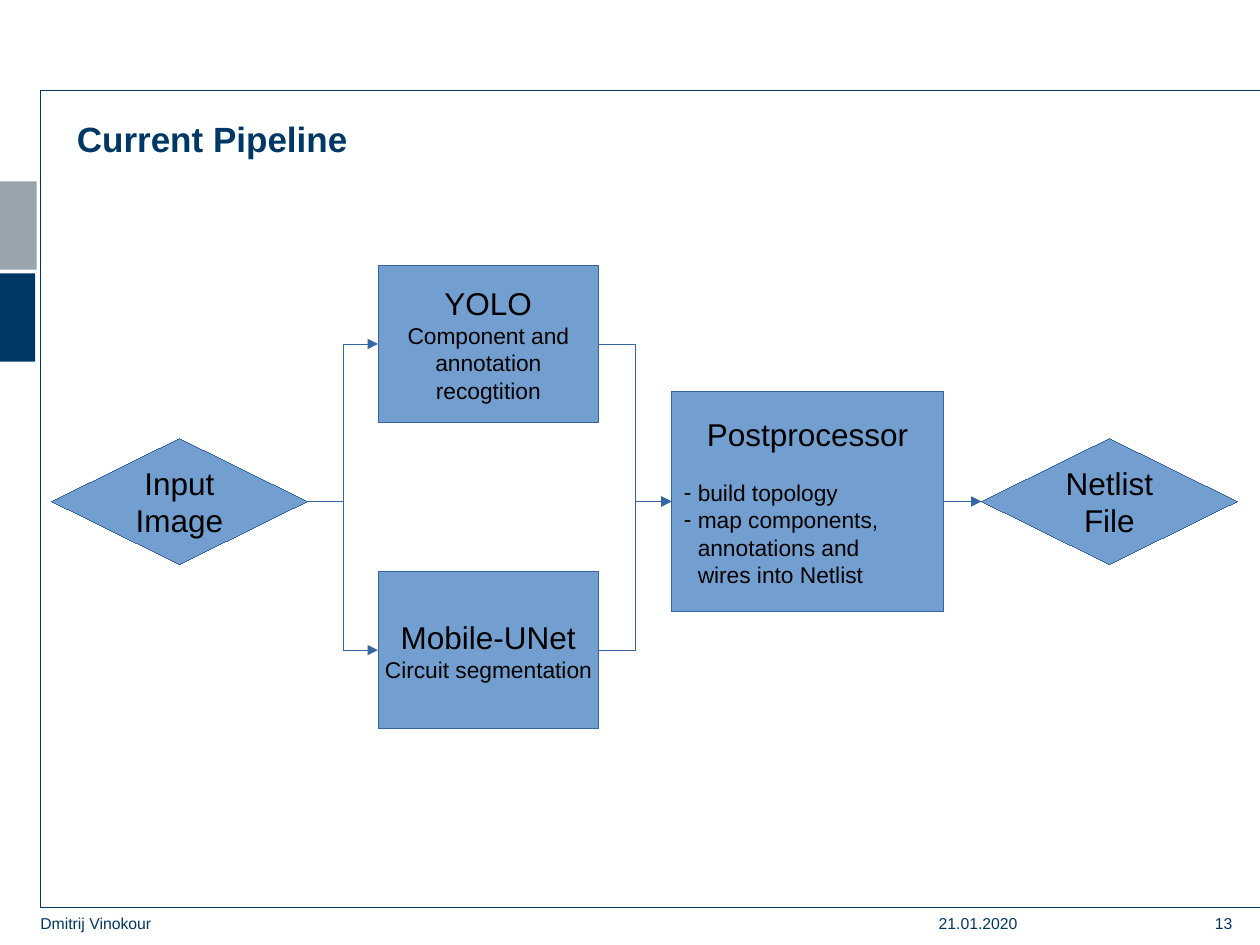
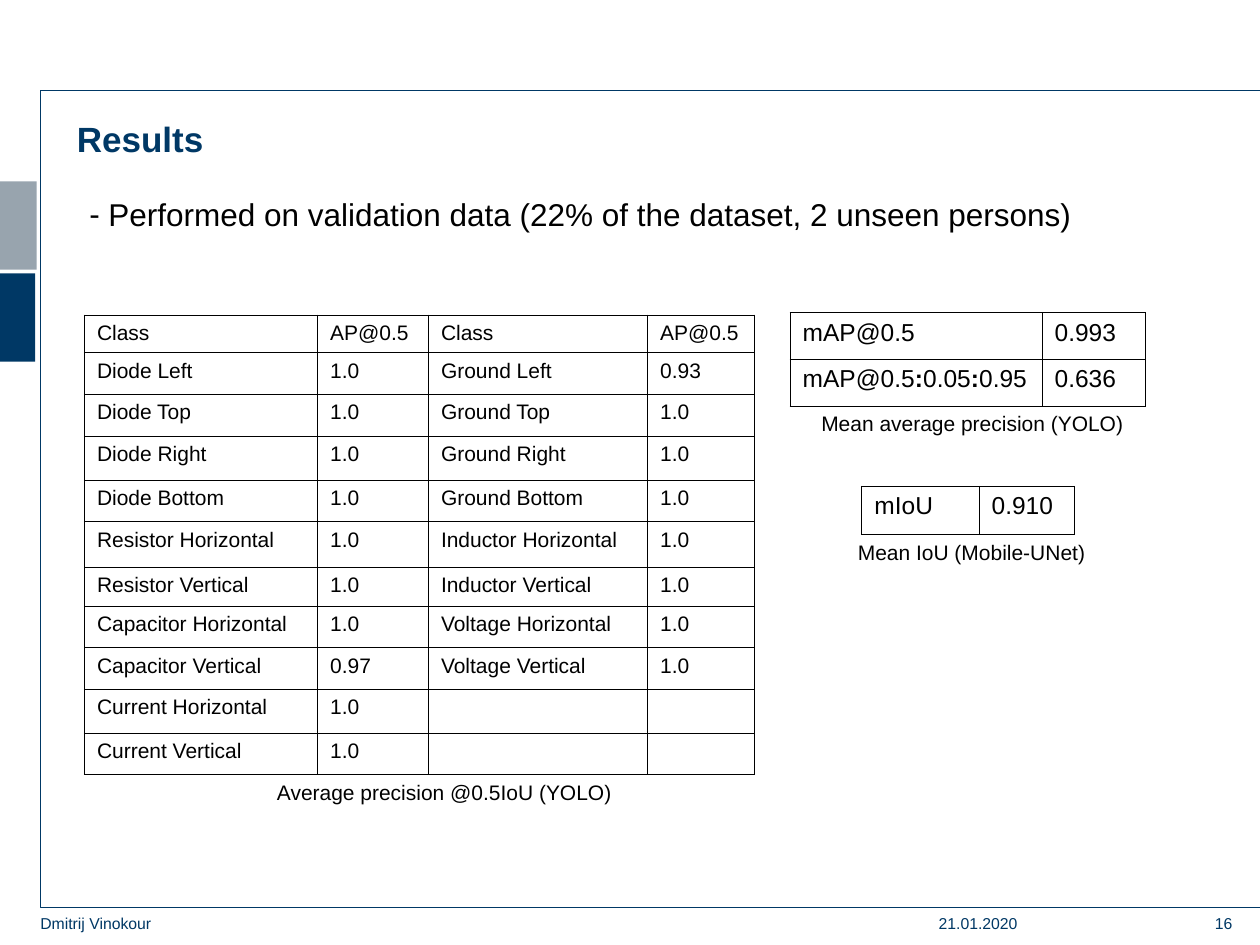
from lxml.etree import SubElement
from pptx import Presentation
from pptx.dml.color import RGBColor
from pptx.enum.shapes import MSO_CONNECTOR as Connector, MSO_SHAPE as Shape
from pptx.enum.text import MSO_ANCHOR as Anchor, MSO_AUTO_SIZE as AutoSize, PP_ALIGN as Align
from pptx.oxml.ns import qn
from pptx.util import Inches, Pt

# Shared style
COLORS = {"navy": "003865", "gray": "98A4AE", "fill": "729FCF", "line": "3465A4", "black": "000000"}
FONT = "Arial"
TITLE_ONLY, TITLE_AND_BODY = 5, 1
TITLE_BOX = (0.61, 0.93, 9.12, 1.5)
SIDE_BANDS = [("navy", (0, 2.17, 0.28, 0.7)), ("gray", (0, 1.44, 0.29, 0.7))]
FRAME = [(10, 0.72), (0.32, 0.72), (0.32, 7.2), (10, 7.2)]
AUTHOR, DATE = "Dmitrij Vinokour", "21.01.2020"

# Pipeline: name -> shape, left, middle, width, height, heading lines, detail lines
MIDLINE = 3.98
PIPELINE = {
    "yolo": (Shape.RECTANGLE, 3, 2.73, 1.75, 1.25, ["YOLO"],
             ["Component and", "annotation", "recogtition"]),
    "unet": (Shape.RECTANGLE, 3, 5.16, 1.75, 1.25, ["Mobile-UNet"], ["Circuit segmentation"]),
    "post": (Shape.RECTANGLE, 5.33, MIDLINE, 2.16, 1.75, ["Postprocessor"], []),
    "output": (Shape.DIAMOND, 7.79, MIDLINE, 2.03, 1, ["Netlist", "File"], []),
    "input": (Shape.DIAMOND, 0.41, MIDLINE, 2.03, 1, ["Input", "Image"], []),
}
# Postprocessor tasks: dashed or continuing line, text
POST_TASKS = [(True, "build topology"), (True, "map components,"),
              (False, "annotations and"), (False, "wires into Netlist")]
FLOWS = [("input", "yolo"), ("input", "unet"), ("yolo", "post"), ("unet", "post"), ("post", "output")]
LEFT_SIDE, RIGHT_SIDE = 1, 3

# Results
RESULTS_NOTE = "Performed on validation data (22% of the dataset, 2 unseen persons)"
CLASS_SCORES = [
    ("Class", "AP@0.5", "Class", "AP@0.5"),
    ("Diode Left", "1.0", "Ground Left", "0.93"),
    ("Diode Top", "1.0", "Ground Top", "1.0"),
    ("Diode Right", "1.0", "Ground Right", "1.0"),
    ("Diode Bottom", "1.0", "Ground Bottom", "1.0"),
    ("Resistor Horizontal", "1.0", "Inductor Horizontal", "1.0"),
    ("Resistor Vertical", "1.0", "Inductor Vertical", "1.0"),
    ("Capacitor Horizontal", "1.0", "Voltage Horizontal", "1.0"),
    ("Capacitor Vertical", "0.97", "Voltage Vertical", "1.0"),
    ("Current Horizontal", "1.0", "", ""),
    ("Current Vertical", "1.0", "", ""),
]
# Every second part between bars is bold
MEAN_PRECISION = [("mAP@0.5", "0.993"), ("mAP@0.5|:|0.05|:|0.95", "0.636")]
MEAN_IOU = [("mIoU", "0.910")]
# Cells, left, top, column widths, row heights, text size
TABLES = [
    (CLASS_SCORES, 0.67, 2.5, [1.85, 0.88, 1.74, 0.85],
     [0.3, 0.33, 0.33, 0.35, 0.33, 0.36, 0.31, 0.33, 0.33, 0.35, 0.33], 12),
    (MEAN_PRECISION, 6.27, 2.48, [2, 0.82], [0.37, 0.38], 14),
    (MEAN_IOU, 6.84, 3.86, [0.93, 0.76], [0.38], 14),
]
CAPTIONS = [
    ("Average precision @0.5IoU (YOLO)", (2.1, 6.14, 2.86, 0.29)),
    ("Mean average precision (YOLO)", (6.42, 3.21, 2.6, 0.29)),
    ("Mean IoU (Mobile-UNet)", (6.71, 4.23, 2.01, 0.29)),
]


def color(name):
    return RGBColor.from_string(COLORS[name])


def inches(box):
    return [Inches(length) for length in box]


def place(shape, box):
    shape.left, shape.top, shape.width, shape.height = inches(box)


def format_runs(paragraph, size, color_name="black", bold=False):
    for run in paragraph.runs:
        run.font.name, run.font.size, run.font.bold = FONT, Pt(size), bold
        run.font.color.rgb = color(color_name)


def set_margins(text_frame, horizontal, vertical):
    text_frame.margin_left = text_frame.margin_right = Inches(horizontal)
    text_frame.margin_top = text_frame.margin_bottom = Inches(vertical)


def indent(paragraph, width, dashed=True):
    """Indent a paragraph, with a hanging dash if dashed."""
    properties = paragraph._p.get_or_add_pPr()
    properties.set("marL", str(Inches(width)))
    properties.set("indent", str(-Inches(width) if dashed else 0))
    if dashed:
        SubElement(properties, qn("a:buFont"), typeface=FONT)
        SubElement(properties, qn("a:buChar"), char="-")


def add_paragraph(text_frame, text, size):
    first = text_frame.paragraphs[0]
    paragraph = text_frame.add_paragraph() if first.runs else first
    paragraph.text = text
    format_runs(paragraph, size)
    return paragraph


def add_label(slide, text, box, size, color_name="black", align=Align.LEFT):
    text_frame = slide.shapes.add_textbox(*inches(box)).text_frame
    text_frame.text = text
    text_frame.paragraphs[0].alignment = align
    format_runs(text_frame.paragraphs[0], size, color_name)
    return text_frame


def set_hairline(line):
    """Draw a line at width 0, written out so that the theme width is not used."""
    line.color.rgb = color("line")
    line._get_or_add_ln().set("w", "0")


def add_block(slide, kind, box, fill, outlined=False):
    shape = slide.shapes.add_shape(kind, *inches(box))
    shape.shadow.inherit = False
    shape.fill.solid()
    shape.fill.fore_color.rgb = color(fill)
    if outlined:
        set_hairline(shape.line)
    else:
        shape.line.fill.background()
    return shape


def add_slide(presentation, layout, title, number):
    """Add a slide with its bands, frame, title and footer."""
    slide = presentation.slides.add_slide(presentation.slide_layouts[layout])
    for fill, box in SIDE_BANDS:
        add_block(slide, Shape.RECTANGLE, box, fill)

    start, *corners = [inches(point) for point in FRAME]
    builder = slide.shapes.build_freeform(*start)
    builder.add_line_segments(corners, close=False)
    frame = builder.convert_to_shape()
    frame.shadow.inherit = False
    frame.fill.background()
    frame.line.color.rgb = color("navy")
    frame.line.width = Pt(0.75)

    place(slide.shapes.title, TITLE_BOX)
    text_frame = slide.shapes.title.text_frame
    text_frame.text = title
    text_frame.vertical_anchor = Anchor.TOP
    text_frame.auto_size = AutoSize.NONE
    set_margins(text_frame, 0, 0)
    paragraph = text_frame.paragraphs[0]
    paragraph.alignment, paragraph.space_before = Align.LEFT, Pt(4)
    format_runs(paragraph, 20, "navy", bold=True)

    for text, left, width, align in [(DATE, 7.45, 1.18, Align.LEFT),
                                     (str(number), 9, 0.78, Align.RIGHT),
                                     (AUTHOR, 0.32, 6.69, Align.LEFT)]:
        footer = add_label(slide, text, (left, 7.25, width, 0.21), 9, "navy", align)
        footer.word_wrap = True
        set_margins(footer, 0, 0)
    return slide


def add_flow(slide, source, target):
    level = source.top + source.height // 2 == target.top + target.height // 2
    kind = Connector.STRAIGHT if level else Connector.ELBOW
    connector = slide.shapes.add_connector(kind, 0, 0, 0, 0)
    connector.begin_connect(source, RIGHT_SIDE)
    connector.end_connect(target, LEFT_SIDE)
    set_hairline(connector.line)
    SubElement(connector.line._get_or_add_ln(), qn("a:tailEnd"), type="triangle")
    SubElement(connector._element.spPr, qn("a:effectLst"))


def add_pipeline(slide):
    stages = {}
    for name, (kind, left, middle, width, height, heading, details) in PIPELINE.items():
        box = (left, middle - height / 2, width, height)
        stages[name] = add_block(slide, kind, box, "fill", outlined=True)
        text_frame = stages[name].text_frame
        text_frame.word_wrap = False
        text_frame.vertical_anchor = Anchor.MIDDLE
        set_margins(text_frame, 0.1, 0.05)
        for lines, size in [(heading, 18), (details, 13)]:
            for line in lines:
                add_paragraph(text_frame, line, size).alignment = Align.CENTER

    text_frame = stages["post"].text_frame
    text_frame.word_wrap = True
    text_frame.paragraphs[0].space_after = Pt(15)
    for dashed, task in POST_TASKS:
        paragraph = add_paragraph(text_frame, task, 13)
        paragraph.alignment = Align.LEFT
        indent(paragraph, 0.11, dashed)

    for source, target in FLOWS:
        add_flow(slide, stages[source], stages[target])


def fill_cell(cell, text, size):
    paragraph = cell.text_frame.paragraphs[0]
    if text:
        for part in text.split("|"):
            paragraph.add_run().text = part
        format_runs(paragraph, size)
        for run in paragraph.runs[1::2]:
            run.font.bold = True
    else:
        SubElement(paragraph._p, qn("a:endParaRPr"), sz=str(size * 100))
    properties = cell._tc.get_or_add_tcPr()
    for side in ("lnL", "lnR", "lnT", "lnB"):
        border = SubElement(properties, qn(f"a:{side}"), w=str(Pt(0.57)))
        solid = SubElement(border, qn("a:solidFill"))
        SubElement(solid, qn("a:srgbClr"), val=COLORS["black"])
    cell.fill.background()


def add_score_table(slide, cells, left, top, widths, heights, size):
    box = inches((left, top, sum(widths), sum(heights)))
    table = slide.shapes.add_table(len(heights), len(widths), *box).table
    table.first_row = table.horz_banding = False
    for column, width in zip(table.columns, widths):
        column.width = Inches(width)
    for row, height, texts in zip(table.rows, heights, cells):
        row.height = Inches(height)
        for cell, text in zip(row.cells, texts):
            fill_cell(cell, text, size)


def add_results(slide):
    for table in TABLES:
        add_score_table(slide, *table)
    for text, box in CAPTIONS:
        caption = add_label(slide, text, box, 12)
        caption.word_wrap = False
        caption.auto_size = AutoSize.SHAPE_TO_FIT_TEXT

    body = slide.placeholders[1]
    place(body, (0.61, 1.5, 9.14, 0.66))
    body.text_frame.auto_size = AutoSize.NONE
    body.text_frame.vertical_anchor = Anchor.TOP
    set_margins(body.text_frame, 0.1, 0.05)
    paragraph = add_paragraph(body.text_frame, RESULTS_NOTE, 18)
    paragraph.space_before = Pt(0)
    indent(paragraph, 0.15)


def main():
    presentation = Presentation()
    presentation.slide_width, presentation.slide_height = Inches(10), Inches(7.5)
    add_pipeline(add_slide(presentation, TITLE_ONLY, "Current Pipeline", 13))
    add_results(add_slide(presentation, TITLE_AND_BODY, "Results", 16))
    presentation.save("out.pptx")


if __name__ == "__main__":
    main()
